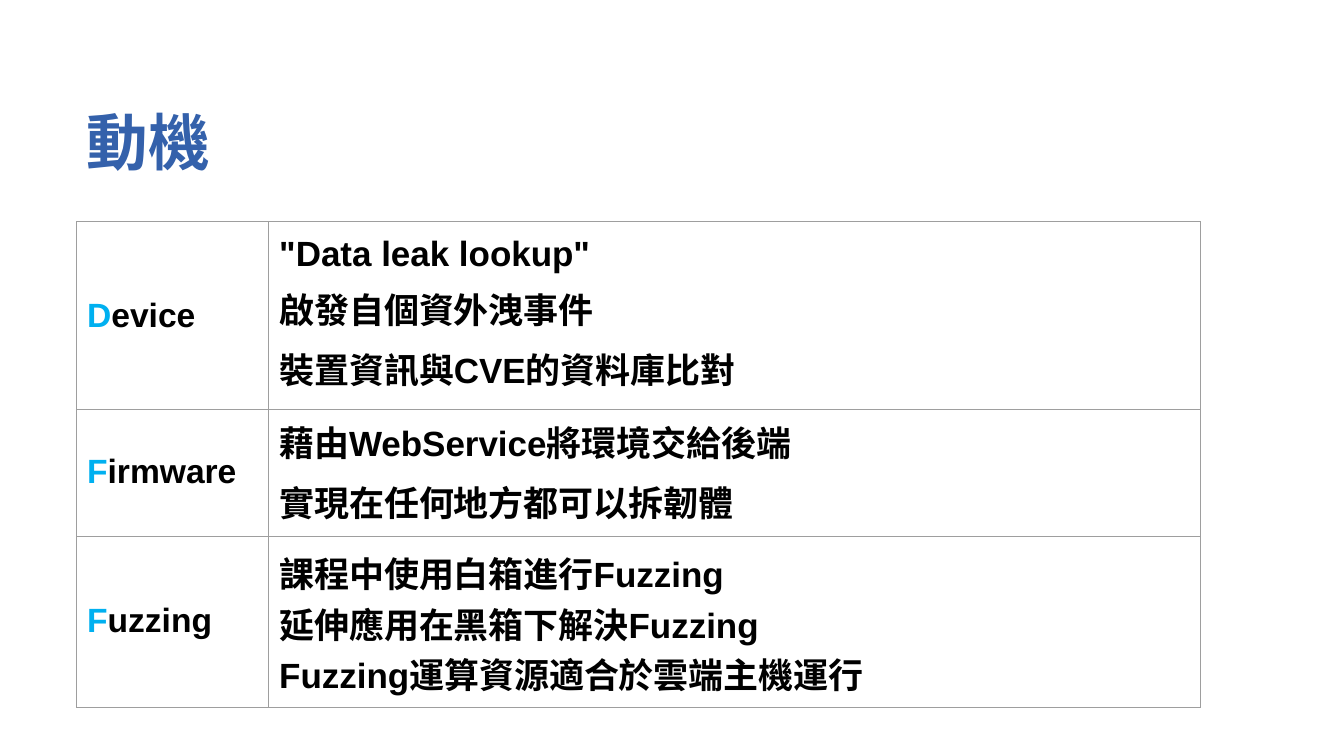
"""Build the motivation slide: a title above a three-row table."""
from lxml.etree import SubElement
from pptx import Presentation
from pptx.dml.color import RGBColor
from pptx.enum.text import MSO_ANCHOR as Anchor
from pptx.oxml.ns import qn
from pptx.util import Emu, Pt

PX = 9525
COLORS = {"title": "3461AB", "initial": "00B0F0", "text": "000000",
          "border": "9E9E9E", "paper": "FFFFFF"}
ROWS = [
    ("Device", 1.0, 179, 0.9, 10,
     ['"Data leak lookup"', "啟發自個資外洩事件", "裝置資訊與CVE的資料庫比對"]),
    ("Firmware", 0.9, 121, 0.9, 10,
     ["藉由WebService將環境交給後端", "實現在任何地方都可以拆韌體"]),
    ("Fuzzing", 0.9, 163, 1.0, 0,
     ["課程中使用白箱進行Fuzzing", "延伸應用在黑箱下解決Fuzzing",
      "Fuzzing運算資源適合於雲端主機運行"]),
]


def px(n):
    return Emu(n * PX)


def rgb(name):
    return RGBColor.from_string(COLORS[name])


class Deck:
    """Hold the presentation, its style and the current slide."""

    def __init__(self, width, height, font="Arial"):
        self.prs = Presentation()
        self.prs.slide_width, self.prs.slide_height = px(width), px(height)
        self.font = font
        self.s = self.prs.slides.add_slide(self.prs.slide_layouts[6])

    def style(self, p, size, color=None, spacing=1.0, before=0):
        p.font.name, p.font.size, p.font.bold = self.font, Pt(size), True
        p.line_spacing = spacing
        p.space_before = Pt(before)
        if color:
            p.font.color.rgb = rgb(color)

    def title(self, text, x, y, w, h):
        tf = self.s.shapes.add_textbox(px(x), px(y), px(w), px(h)).text_frame
        tf.word_wrap = True
        tf.vertical_anchor = Anchor.MIDDLE
        p = tf.paragraphs[0]
        p.text = text
        self.style(p, 44, "title")

    def frame_cell(self, cell):
        tc_pr = cell._tc.get_or_add_tcPr()
        for side in ("lnL", "lnR", "lnT", "lnB"):
            ln = SubElement(tc_pr, qn(f"a:{side}"), w=str(Pt(0.75)))
            fill = SubElement(ln, qn("a:solidFill"))
            SubElement(fill, qn("a:srgbClr"), val=COLORS["border"])
        cell.fill.solid()
        cell.fill.fore_color.rgb = rgb("paper")
        cell.vertical_anchor = Anchor.MIDDLE
        cell.margin_left = cell.margin_right = px(10)
        cell.margin_top = cell.margin_bottom = px(10)

    def label(self, cell, text, spacing):
        self.frame_cell(cell)
        p = cell.text_frame.paragraphs[0]
        self.style(p, 24, spacing=spacing)
        for part, color in ((text[0], "initial"), (text[1:], "text")):
            r = p.add_run()
            r.text = part
            r.font.color.rgb = rgb(color)

    def lines(self, cell, texts, spacing, before):
        self.frame_cell(cell)
        tf = cell.text_frame
        for i, text in enumerate(texts):
            p = tf.add_paragraph() if i else tf.paragraphs[0]
            p.text = text
            self.style(p, 25, "text", spacing, before if i else 0)

    def table(self, rows, x, y, widths):
        height = sum(row[2] for row in rows)
        table = self.s.shapes.add_table(len(rows), len(widths), px(x), px(y),
                                        px(sum(widths)), px(height)).table
        table.first_row = table.horz_banding = False
        for col, width in zip(table.columns, widths):
            col.width = px(width)
        for i, (name, name_spacing, h, spacing, before, texts) in enumerate(rows):
            table.rows[i].height = px(h)
            self.label(table.cell(i, 0), name, name_spacing)
            self.lines(table.cell(i, 1), texts, spacing, before)


def main():
    deck = Deck(1280, 720)
    deck.title("動機", 73, 65, 1097, 139)
    deck.table(ROWS, 73, 211, (183, 887))
    deck.prs.save("out.pptx")


if __name__ == "__main__":
    main()
